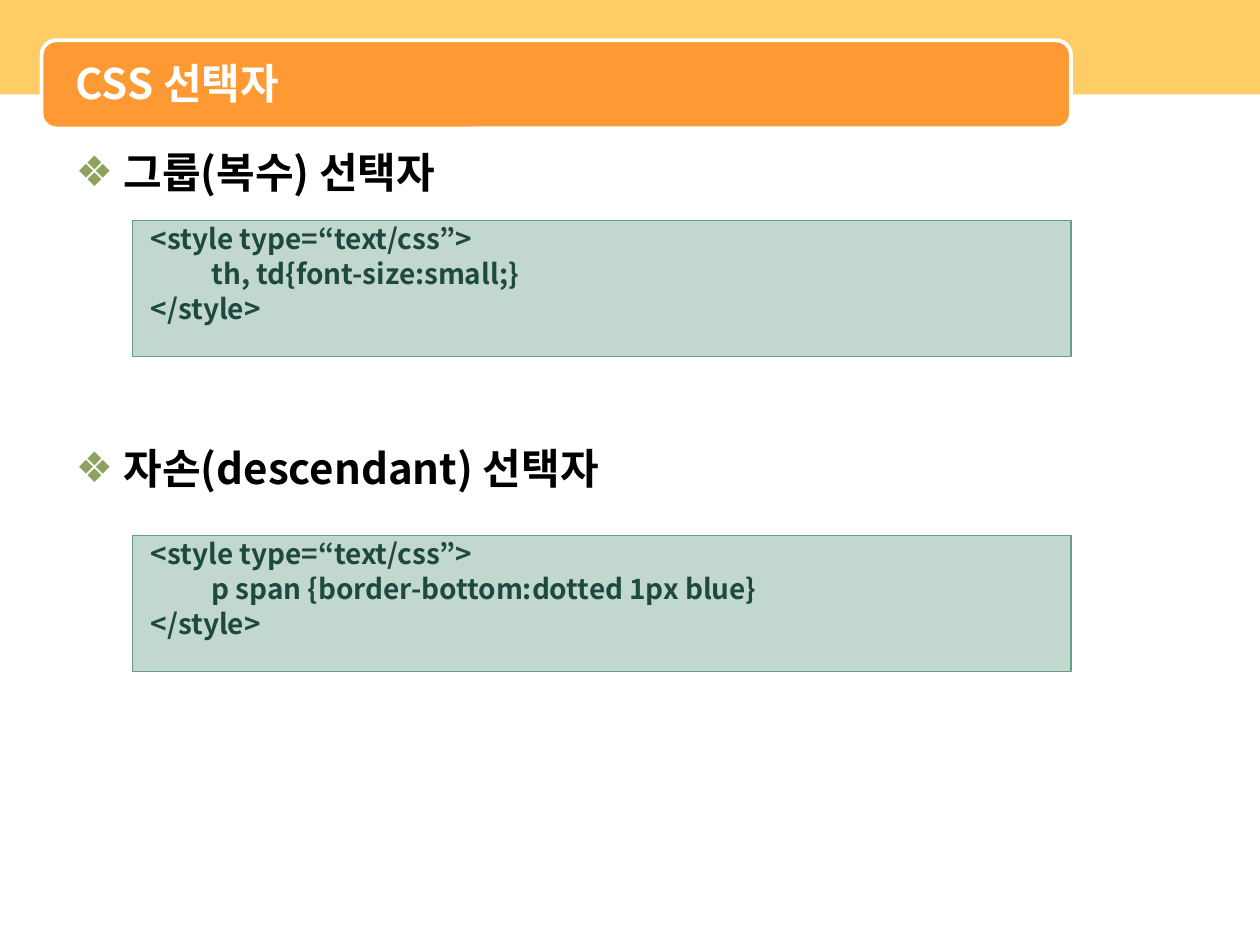
"""Build the slide on CSS group and descendant selectors."""
from dataclasses import dataclass

from lxml import etree
from pptx import Presentation
from pptx.dml.color import RGBColor
from pptx.enum.shapes import MSO_SHAPE
from pptx.enum.text import MSO_ANCHOR, MSO_AUTO_SIZE, PP_ALIGN
from pptx.oxml.ns import qn
from pptx.util import Inches, Pt

RECTANGLE, ROUNDED = MSO_SHAPE.RECTANGLE, MSO_SHAPE.ROUNDED_RECTANGLE
TOP, MIDDLE = MSO_ANCHOR.TOP, MSO_ANCHOR.MIDDLE
LEFT = PP_ALIGN.LEFT
NO_FIT = MSO_AUTO_SIZE.NONE


@dataclass(frozen=True)
class Theme:
    font: str = "Noto Sans CJK KR"
    band: str = "FFCC66"
    banner: str = "FF9933"
    white: str = "FFFFFF"
    heading: str = "000000"
    bullet: str = "8CA35F"
    code_fill: str = "C2D8CF"
    code_line: str = "669E86"
    code_text: str = "1D4940"
    heading_size: int = 24
    code_size: int = 16
    line_spacing: float = 0.84
    hanging: float = 0.38


class SlideBuilder:
    def __init__(self, slide, theme):
        self.slide = slide
        self.theme = theme

    def panel(self, kind, box, fill, line=None, line_width=0):
        panel = self.slide.shapes.add_shape(kind, *map(Inches, box))
        panel.shadow.inherit = False
        panel.fill.solid()
        panel.fill.fore_color.rgb = RGBColor.from_string(fill)
        if line:
            panel.line.color.rgb = RGBColor.from_string(line)
            panel.line.width = Pt(line_width)
        else:
            panel.line.fill.background()
        return panel

    def place(self, placeholder, box):
        placeholder.left, placeholder.top, placeholder.width, placeholder.height = map(Inches, box)
        placeholder.text_frame.auto_size = NO_FIT

    def format_runs(self, paragraph, size, color):
        paragraph.alignment = LEFT
        for run in paragraph.runs:
            run.font.name = self.theme.font
            run.font.size = Pt(size)
            run.font.bold = True
            run.font.color.rgb = RGBColor.from_string(color)
            east_asian = etree.Element(qn("a:ea"), typeface=self.theme.font)
            run.font._element.find(qn("a:latin")).addnext(east_asian)

    def hang(self, paragraph):
        properties = paragraph._p.get_or_add_pPr()
        properties.set("marL", str(Inches(self.theme.hanging)))
        properties.set("indent", str(-Inches(self.theme.hanging)))
        paragraph.line_spacing = self.theme.line_spacing
        return properties

    def title(self, text, box):
        title = self.slide.shapes.title
        self.place(title, box)
        title.text_frame.text = text
        title.text_frame.vertical_anchor = MIDDLE
        self.format_runs(title.text_frame.paragraphs[0], self.theme.heading_size, self.theme.white)
        self.slide.shapes._spTree.append(title._element)

    def headings(self, texts, box, gap):
        body = self.slide.placeholders[1]
        self.place(body, box)
        body.text_frame.text = "\n".join(texts)
        for index, paragraph in enumerate(body.text_frame.paragraphs):
            properties = self.hang(paragraph)
            paragraph.space_before = Pt(gap if index else 0)
            bullet_color = etree.SubElement(properties, qn("a:buClr"))
            etree.SubElement(bullet_color, qn("a:srgbClr"), val=self.theme.bullet)
            etree.SubElement(properties, qn("a:buChar"), char="❖")
            self.format_runs(paragraph, self.theme.heading_size, self.theme.heading)

    def code(self, rule, box):
        panel = self.panel(RECTANGLE, box, self.theme.code_fill, self.theme.code_line, 0.75)
        frame = panel.text_frame
        frame.word_wrap = True
        frame.vertical_anchor = TOP
        frame.text = f" <style type=“text/css”>\n\t   {rule}\n </style>"
        for index, paragraph in enumerate(frame.paragraphs):
            self.hang(paragraph)
            paragraph.space_before = Pt(4 if index else 0)
            self.format_runs(paragraph, self.theme.code_size, self.theme.code_text)


def main():
    theme = Theme()
    presentation = Presentation()
    presentation.slide_width, presentation.slide_height = Inches(10), Inches(7.5)
    slide = presentation.slides.add_slide(presentation.slide_layouts[1])
    builder = SlideBuilder(slide, theme)

    builder.panel(RECTANGLE, (0, 0, 10, 0.75), theme.band)
    builder.panel(ROUNDED, (0.33, 0.32, 8.17, 0.7), theme.banner, theme.white, 2.25)
    builder.title("CSS 선택자", (0.5, 0.35, 7.92, 0.62))
    builder.headings(["그룹(복수) 선택자", "자손(descendant) 선택자"], (0.5, 1.18, 9, 5.91), 145)

    rules = ["th, td{font-size:small;}", "p span {border-bottom:dotted 1px blue}"]
    for index, rule in enumerate(rules):
        builder.code(rule, (1.05, 1.75 + 2.5 * index, 7.45, 1.08))

    presentation.save("out.pptx")


if __name__ == "__main__":
    main()
